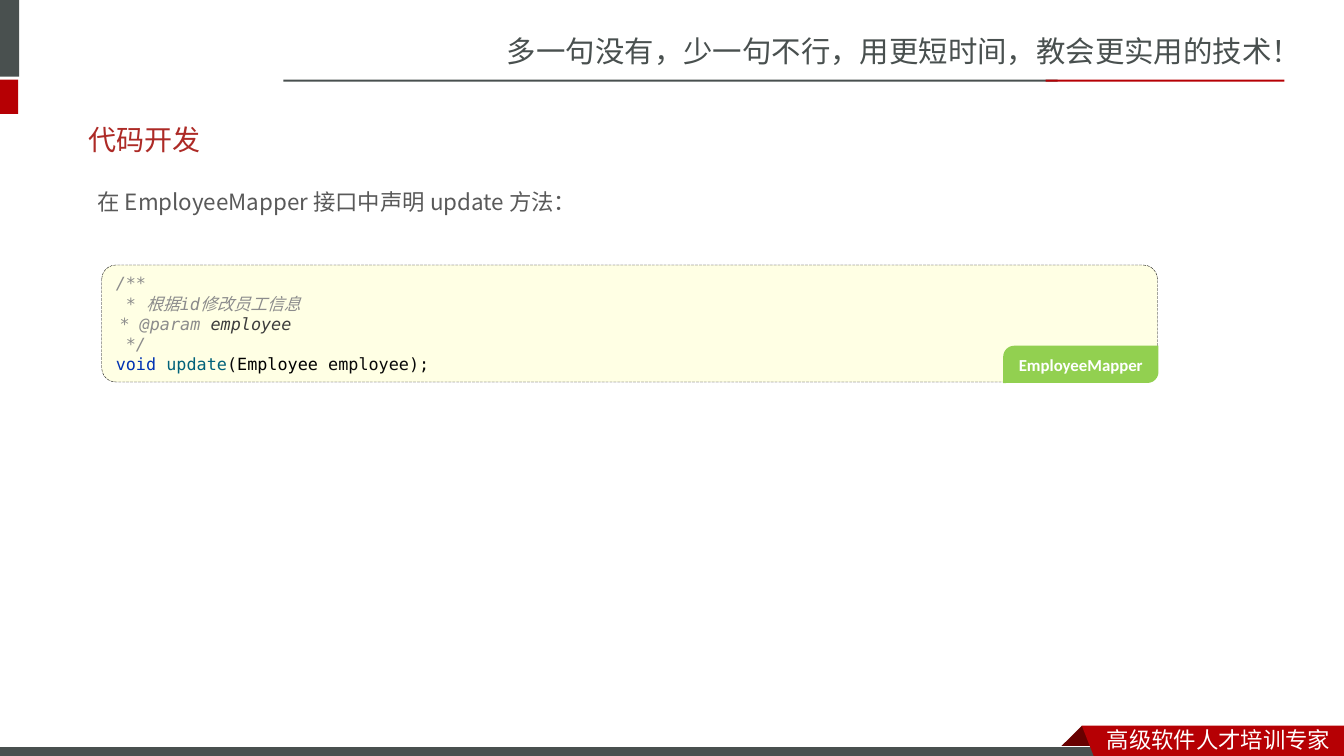
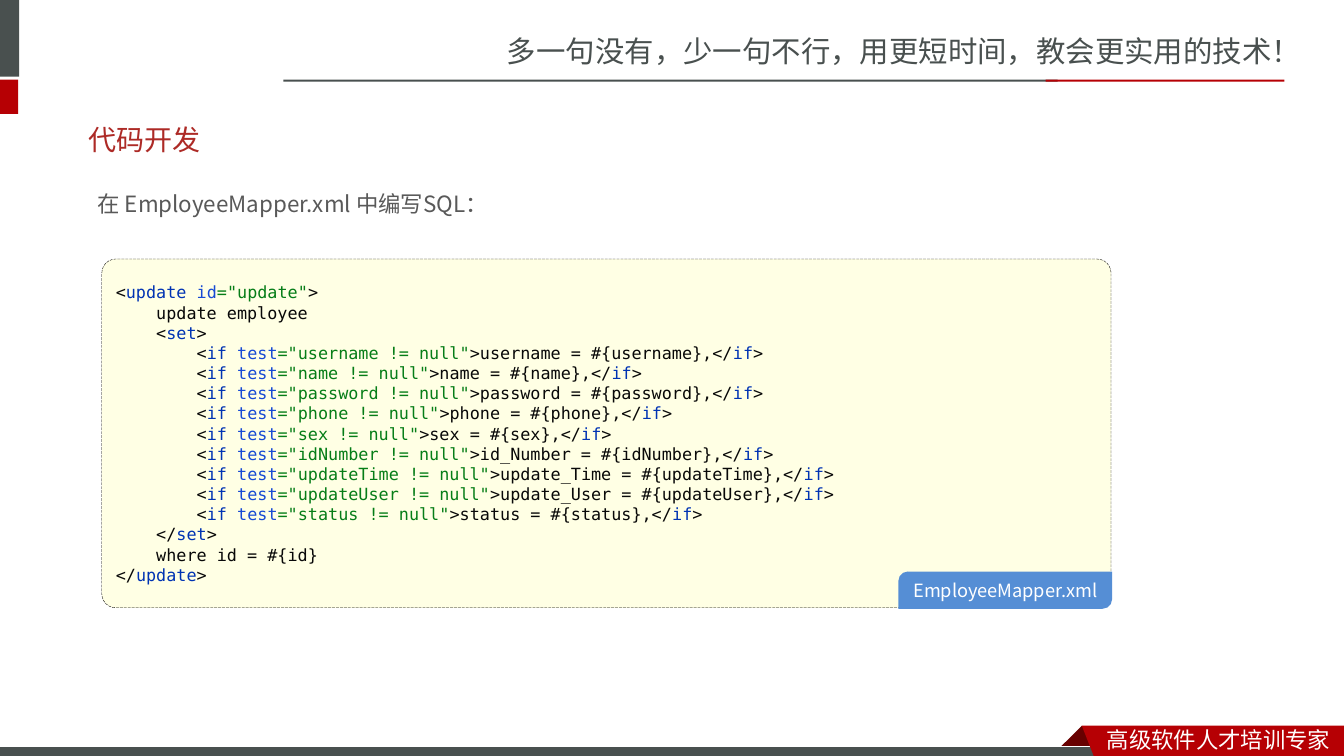
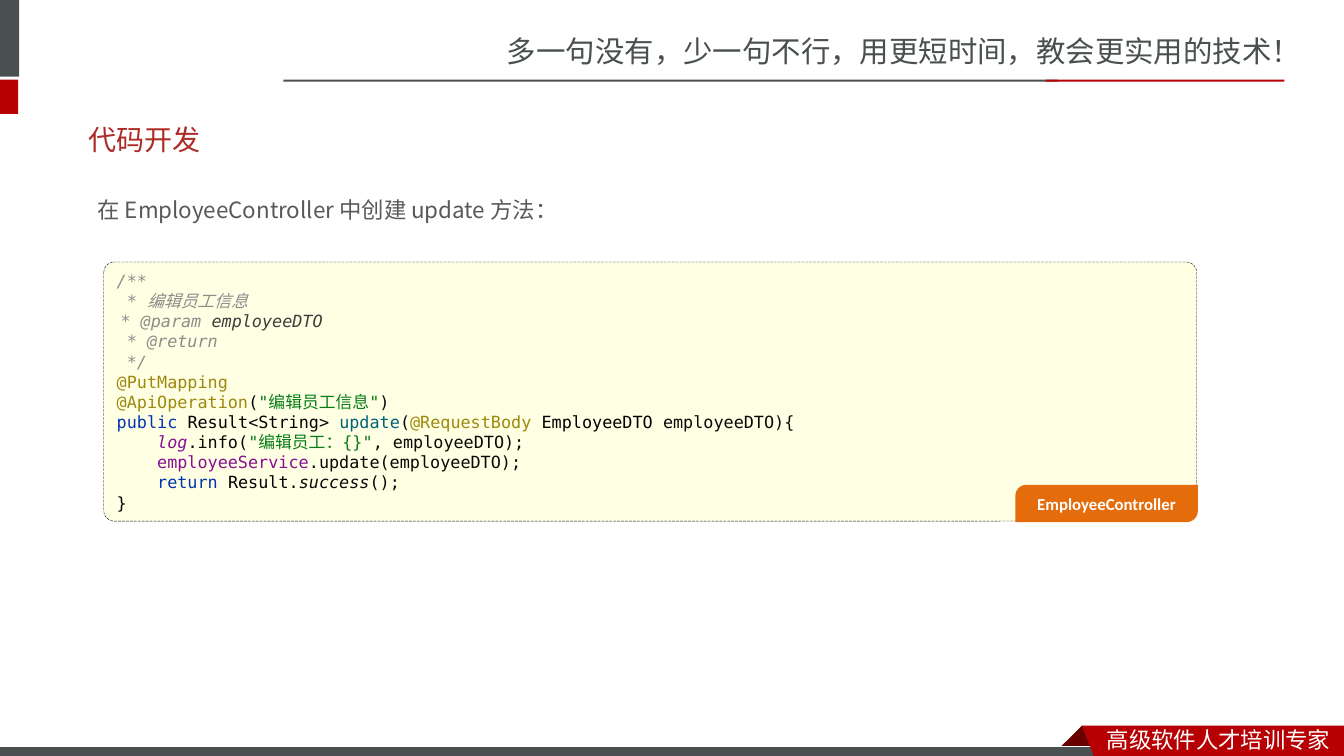
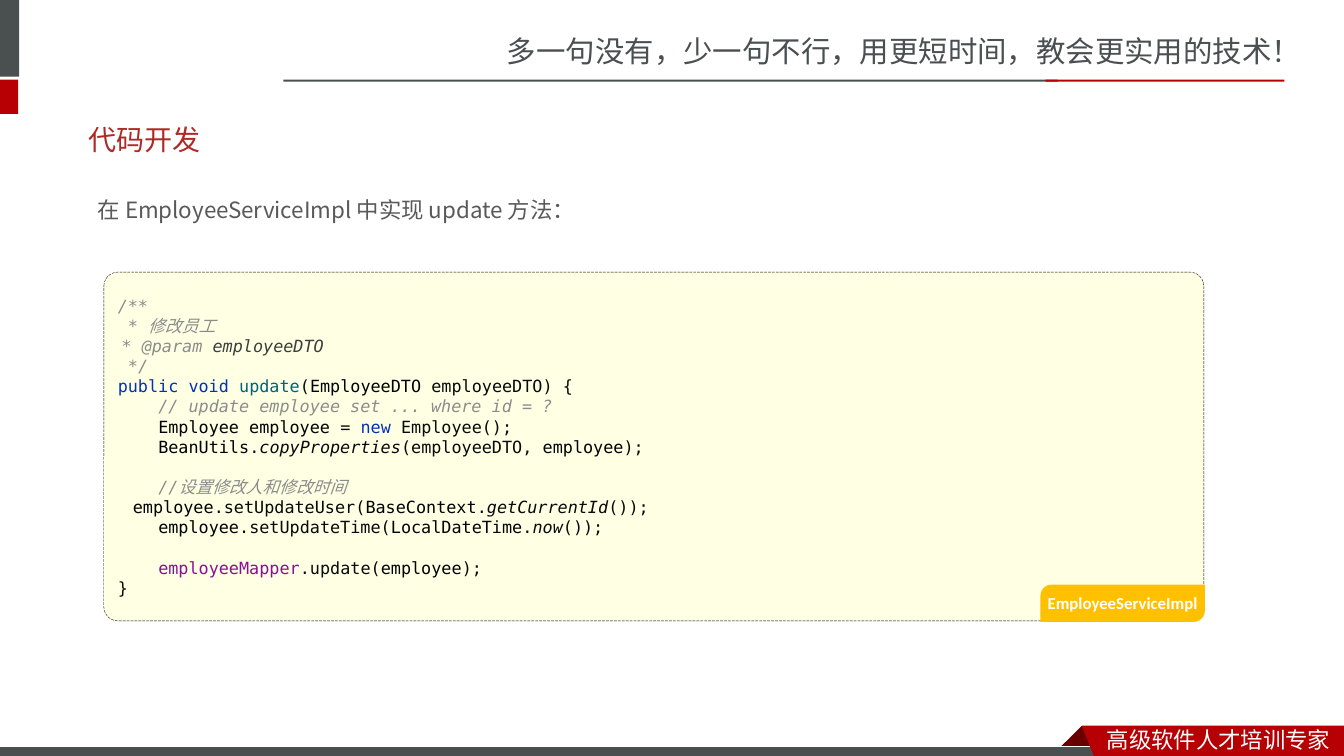
from lxml.etree import SubElement
from pptx import Presentation
from pptx.dml.color import RGBColor
from pptx.enum.dml import MSO_LINE
from pptx.enum.shapes import MSO_SHAPE
from pptx.enum.text import MSO_ANCHOR, MSO_AUTO_SIZE, PP_ALIGN
from pptx.oxml.ns import qn
from pptx.util import Inches, Pt

SLATE, RED, DARK_RED, WHITE = "49504F", "B60004", "680000", "FFFFFF"
TITLE_RED, BODY_GREY, CODE_PAPER = "AD2A26", "595959", "FFFFE4"
CJK, CJK_BODY, MONO, LATIN = "Noto Sans CJK SC", "Noto Sans CJK JP", "DejaVu Sans Mono", "Calibri"

# Syntax colours: name -> (colour, italic)
SYNTAX = {
    "plain": ("080808", False),
    "type": ("000000", False),
    "static": ("080808", True),
    "comment": ("8C8C8C", True),
    "param": ("3D3D3D", True),
    "keyword": ("0033B3", False),
    "attribute": ("174AD4", False),
    "string": ("067D17", False),
    "method": ("00627A", False),
    "annotation": ("9E880D", False),
    "field": ("871094", False),
    "static field": ("871094", True),
}

MAPPER_CODE = [
    ("/**\n * ", "comment"), ("根据", "comment"), ("id", "comment"),
    ("修改员工信息\n ", "comment"), ("* @param ", "comment"),
    ("employee\n ", "param"), ("*/\n", "comment"),
    ("void ", "keyword"), ("update", "method"), ("(", "plain"),
    ("Employee ", "type"), ("employee);", "plain"),
]

# Updated columns and the properties they are read from
COLUMNS = [
    ("username", "username"), ("name", "name"), ("password", "password"),
    ("phone", "phone"), ("sex", "sex"), ("id_Number", "idNumber"),
    ("update_Time", "updateTime"), ("update_User", "updateUser"), ("status", "status"),
]
XML_CODE = [
    ("<", "plain"), ("update ", "keyword"), ("id", "attribute"), ('="update"', "string"),
    (">\n    update employee\n    <", "plain"), ("set", "keyword"),
]
for column, field in COLUMNS:
    XML_CODE += [
        (">\n        <", "plain"), ("if ", "keyword"), ("test", "attribute"),
        (f'="{field} != null"', "string"),
        (f">{column} = #{{{field}}},</", "plain"), ("if", "keyword"),
    ]
XML_CODE += [
    (">\n    </", "plain"), ("set", "keyword"),
    (">\n    where id = #{id}\n</", "plain"), ("update", "keyword"), (">", "plain"),
]

CONTROLLER_CODE = [
    ("/**\n * ", "comment"), ("编辑员工信息\n ", "comment"), ("* @param ", "comment"),
    ("employeeDTO\n ", "param"), ("* @return\n */\n", "comment"),
    ("@PutMapping\n@ApiOperation", "annotation"), ("(", "plain"),
    ('"', "string"), ("编辑员工信息", "string"), ('"', "string"), (")\n", "plain"),
    ("public ", "keyword"), ("Result", "type"), ("<", "plain"), ("String", "type"),
    ("> ", "plain"), ("update", "method"), ("(", "plain"),
    ("@RequestBody ", "annotation"), ("EmployeeDTO ", "type"),
    ("employeeDTO){\n    ", "plain"), ("log", "static field"), (".info(", "plain"),
    ('"', "string"), ("编辑员工：", "string"), ('{}"', "string"),
    (", employeeDTO);\n    ", "plain"), ("employeeService", "field"),
    (".update(employeeDTO);\n    ", "plain"), ("return ", "keyword"),
    ("Result", "type"), (".", "plain"), ("success", "static"), ("();\n}", "plain"),
]

SERVICE_CODE = [
    ("/**\n * ", "comment"), ("修改员工\n ", "comment"), ("* @param ", "comment"),
    ("employeeDTO\n ", "param"), ("*/\n", "comment"),
    ("public void ", "keyword"), ("update", "method"), ("(", "plain"),
    ("EmployeeDTO ", "type"), ("employeeDTO) {\n    ", "plain"),
    ("// update employee set ... where id = ?\n    ", "comment"),
    ("Employee employee ", "type"), ("= ", "plain"), ("new ", "keyword"),
    ("Employee();\n    ", "plain"), ("BeanUtils", "type"), (".", "plain"),
    ("copyProperties", "static"), ("(employeeDTO, ", "plain"), ("employee", "type"),
    (");\n\n    ", "plain"), ("//", "comment"), ("设置修改人和修改时间\n    ", "comment"),
    ("employee", "type"), (".setUpdateUser(", "plain"), ("BaseContext", "type"),
    (".", "plain"), ("getCurrentId", "static"), ("());\n    ", "plain"),
    ("employee", "type"), (".setUpdateTime(", "plain"), ("LocalDateTime", "type"),
    (".", "plain"), ("now", "static"), ("());\n\n    ", "plain"),
    ("employeeMapper", "field"), (".update(", "plain"), ("employee", "type"),
    (");\n}", "plain"),
]

# lead: text, top, width; panel: left, top, width, height, corner;
# tag: text, width, corner, colour, font, size, bold
STEPS = [
    dict(lead=("在 EmployeeMapper 接口中声明 update 方法：", 1.68, 11),
         panel=(1.01, 2.63, 10.47, 1.16, 0.12), code=MAPPER_CODE,
         tag=("EmployeeMapper", 1.54, 0.296, "92D050", LATIN, 12, True)),
    dict(lead=("在 EmployeeMapper.xml 中编写SQL：", 1.7, 11),
         panel=(1.01, 2.57, 10.01, 3.46, 0.04), code=XML_CODE,
         tag=("EmployeeMapper.xml", 2.12, 0.257, "558ED5", CJK_BODY, 13, False)),
    dict(lead=("在 EmployeeController 中创建 update 方法：", 1.76, 11),
         panel=(1.03, 2.6, 10.84, 2.57, 0.04), code=CONTROLLER_CODE,
         tag=("EmployeeController", 1.81, 0.296, "E46C0A", LATIN, 12, True)),
    dict(lead=("在 EmployeeServiceImpl 中实现 update 方法：", 1.76, 11.42),
         panel=(1.03, 2.7, 10.91, 3.46, 0.04), code=SERVICE_CODE,
         tag=("EmployeeServiceImpl", 1.63, 0.296, "FFC000", LATIN, 12, True)),
]
TAG_HEIGHT, TAG_OVERHANG = 0.37, 0.01


def paint(shape, fill):
    """Give a shape a plain fill, with no line and no shadow."""
    shape.fill.solid()
    shape.fill.fore_color.rgb = RGBColor.from_string(fill)
    shape.line.fill.background()
    shape.shadow.inherit = False


def write(paragraph, text, size, font, colour, bold=False, italic=False):
    """Add text as runs, with a line break for each newline."""
    for number, line in enumerate(text.split("\n")):
        if number:
            paragraph.add_line_break()
        if line:
            run = paragraph.add_run()
            run.text = line
            run.font.size = Pt(size)
            run.font.name = font
            run.font.bold = bold
            run.font.italic = italic
            run.font.color.rgb = RGBColor.from_string(colour)
            east_asian = font if font in (CJK, CJK_BODY) else CJK
            SubElement(run.font._element, qn("a:ea"), typeface=east_asian)


prs = Presentation()
prs.slide_width, prs.slide_height = Inches(13.33), Inches(7.5)
layout = prs.slide_layouts[5]
slides = [prs.slides.add_slide(layout) for _ in STEPS]

# Shared frame: drawn once, then moved to the layout
draft = slides[0].shapes
frame = []
for left, top, width, height, colour in [
    (-0.06, 0, 0.25, 0.76, SLATE),
    (-0.06, 0.79, 0.24, 0.34, RED),
    (2.81, 0.79, 7.68, 0.02, SLATE),
    (10.37, 0.79, 2.37, 0.02, RED),
    (-0.01, 7.41, 11, 0.12, SLATE),
]:
    band = draft.add_shape(MSO_SHAPE.RECTANGLE, Inches(left), Inches(top),
                           Inches(width), Inches(height))
    paint(band, colour)
    frame.append(band)
footer_bar = frame[-1]
footer_bar.line.color.rgb = RGBColor.from_string(WHITE)
footer_bar.line.width = Pt(0.75)

ribbons = []
for colour, corners in [
    (DARK_RED, [(10.73, 7.2), (10.95, 7.42), (10.94, 7.43), (10.52, 7.43), (10.51, 7.42)]),
    (RED, [(10.73, 7.2), (13.33, 7.2), (13.33, 7.54), (10.86, 7.53)]),
]:
    points = [(Inches(x), Inches(y)) for x, y in corners]
    outline = draft.build_freeform(*points[0])
    outline.add_line_segments(points[1:])
    ribbon = outline.convert_to_shape()
    paint(ribbon, colour)
    ribbons.append(ribbon)
frame.insert(-1, ribbons[0])
frame.append(ribbons[1])

for text, left, top, width, height, size, colour in [
    ("多一句没有，少一句不行，用更短时间，教会更实用的技术！", 4.93, 0.28, 8.41, 0.47, 21, SLATE),
    ("高级软件人才培训专家", 10.88, 7.15, 2.45, 0.37, 16, WHITE),
]:
    slogan = draft.add_textbox(Inches(left), Inches(top), Inches(width), Inches(height))
    slogan.text_frame.word_wrap = True
    write(slogan.text_frame.paragraphs[0], text, size, CJK, colour)
    frame.append(slogan)

for part in frame:
    layout.shapes.element.append(part.element)

for slide, step in zip(slides, STEPS):
    title = slide.shapes.title
    title.left, title.top = Inches(0.78), Inches(1.1)
    title.width, title.height = Inches(11.7), Inches(0.57)
    title.text_frame.vertical_anchor = MSO_ANCHOR.MIDDLE
    heading = title.text_frame.paragraphs[0]
    heading.alignment = PP_ALIGN.LEFT
    write(heading, "代码开发", 20, LATIN, TITLE_RED)

    text, top, width = step["lead"]
    lead = slide.shapes.add_textbox(Inches(0.87), Inches(top), Inches(width), Inches(0.46))
    lead.text_frame.word_wrap = True
    lead.text_frame.auto_size = MSO_AUTO_SIZE.SHAPE_TO_FIT_TEXT
    lead.text_frame.paragraphs[0].line_spacing = 1.5
    write(lead.text_frame.paragraphs[0], text, 16, CJK_BODY, BODY_GREY)

    left, top, width, height, corner = step["panel"]
    right, bottom = left + width, top + height
    panel = slide.shapes.add_shape(MSO_SHAPE.ROUNDED_RECTANGLE, Inches(left), Inches(top),
                                   Inches(width), Inches(height))
    panel.adjustments[0] = corner
    paint(panel, CODE_PAPER)
    panel.line.color.rgb = RGBColor.from_string("000000")
    panel.line.width = Pt(0.25)
    panel.line.dash_style = MSO_LINE.LONG_DASH
    panel.text_frame.word_wrap = True
    panel.text_frame.vertical_anchor = MSO_ANCHOR.MIDDLE
    listing = panel.text_frame.paragraphs[0]
    listing.alignment = PP_ALIGN.LEFT
    for text, kind in step["code"]:
        colour, italic = SYNTAX[kind]
        font = MONO if text.isascii() else CJK
        write(listing, text, 12, font, colour, italic=italic)
    # Line breaks need the code size too, or blank lines grow taller
    for line_break in panel.element.iter(qn("a:br")):
        break_style = SubElement(line_break, qn("a:rPr"), sz="1200")
        SubElement(break_style, qn("a:latin"), typeface=MONO)

    text, width, corner, colour, font, size, bold = step["tag"]
    tag = slide.shapes.add_shape(
        MSO_SHAPE.ROUND_2_DIAG_RECTANGLE,
        Inches(right + TAG_OVERHANG - width), Inches(bottom + TAG_OVERHANG - TAG_HEIGHT),
        Inches(width), Inches(TAG_HEIGHT))
    tag.adjustments[0], tag.adjustments[1] = corner, 0
    paint(tag, colour)
    label = tag.text_frame
    label.margin_left = label.margin_right = label.margin_top = label.margin_bottom = 0
    label.vertical_anchor = MSO_ANCHOR.MIDDLE
    label.paragraphs[0].alignment = PP_ALIGN.CENTER
    write(label.paragraphs[0], text, size, font, WHITE, bold=bold)

prs.save("out.pptx")
